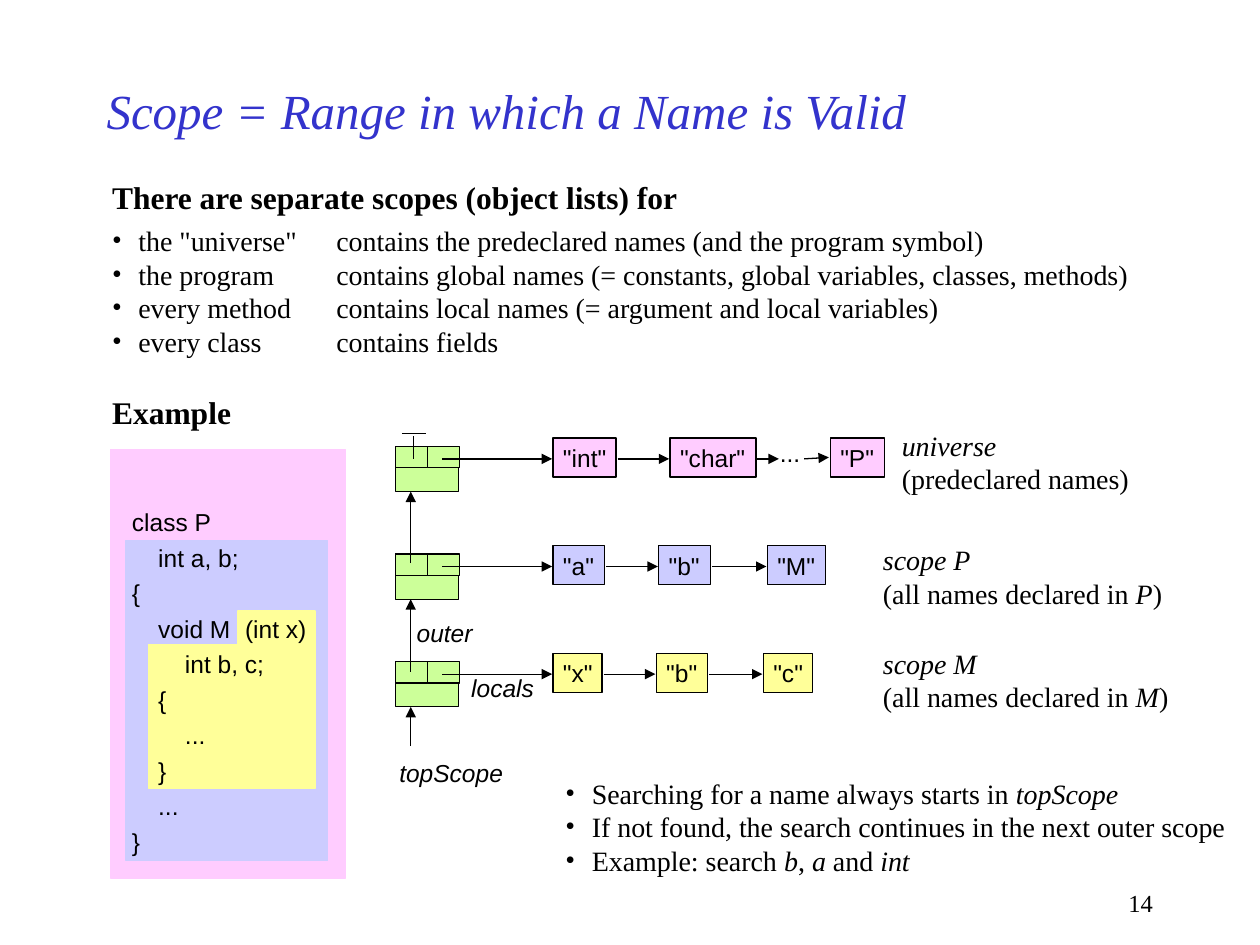
"""Build the slide on scopes, with a code sample and linked object lists."""
from lxml import etree
from pptx import Presentation
from pptx.dml.color import RGBColor
from pptx.enum.shapes import MSO_CONNECTOR, MSO_SHAPE
from pptx.enum.text import MSO_ANCHOR, PP_ALIGN
from pptx.oxml.ns import qn
from pptx.util import Cm, Pt

STRAIGHT = MSO_CONNECTOR.STRAIGHT
RECTANGLE = MSO_SHAPE.RECTANGLE
TOP, MIDDLE = MSO_ANCHOR.TOP, MSO_ANCHOR.MIDDLE
LEFT, RIGHT = PP_ALIGN.LEFT, PP_ALIGN.RIGHT
BLACK = RGBColor(0x00, 0x00, 0x00)
BLUE = RGBColor(0x33, 0x33, 0xCC)
PINK = RGBColor(0xFF, 0xCC, 0xFF)
LILAC = RGBColor(0xCC, 0xCC, 0xFF)
YELLOW = RGBColor(0xFF, 0xFF, 0x99)
GREEN = RGBColor(0xCC, 0xFF, 0x99)
SERIF, SANS = "Times New Roman", "Arial"
HANG = 0.53

deck = Presentation()
deck.slide_width, deck.slide_height = Cm(25.4), Cm(19.05)
page = deck.slides.add_slide(deck.slide_layouts[6])
shapes = page.shapes


def write(box, lines, size, font=SERIF, color=BLACK, tabs=(), bullets=False,
          gap=0, inset=0.25, align=LEFT, anchor=TOP):
    """Fill a box with lines, each a list of (text, style) runs."""
    frame = box.text_frame
    frame.word_wrap = True
    frame.vertical_anchor = anchor
    frame.margin_left = Cm(inset)
    frame.margin_right = Cm(inset if align == RIGHT else 0)
    frame.margin_top = frame.margin_bottom = Cm(inset / 2)
    for index, runs in enumerate(lines):
        para = frame.add_paragraph() if index else frame.paragraphs[0]
        para.alignment = align
        heading = runs[0][1] == "b"
        props = para._p.get_or_add_pPr()
        if bullets and not heading:
            props.set("marL", str(Cm(HANG)))
            props.set("indent", str(-Cm(HANG)))
            etree.SubElement(props, qn("a:buFont"), typeface=font)
            etree.SubElement(props, qn("a:buChar"), char="•")
        if tabs:
            stops = etree.SubElement(props, qn("a:tabLst"))
            for stop in tabs:
                etree.SubElement(stops, qn("a:tab"), pos=str(Cm(stop)), algn="l")
        if index and gap:
            para.space_before = Pt(gap)
        if heading:
            para.space_after = Pt(4.5)
        for text, style in runs:
            span = para.add_run()
            span.text = text
            span.font.name = font
            span.font.size = Pt(18 if heading else size)
            span.font.bold = style == "b"
            span.font.italic = style == "i"
            span.font.color.rgb = color


def draw_line(x1, y1, x2, y2, arrow=True):
    """Draw a thin black line, with an arrowhead at its end if wanted."""
    line = shapes.add_connector(STRAIGHT, Cm(x1), Cm(y1), Cm(x2), Cm(y2))
    line.line.color.rgb = BLACK
    line.line.width = Pt(0.75)
    if arrow:
        etree.SubElement(line.line._get_or_add_ln(), qn("a:tailEnd"), type="triangle")
    etree.SubElement(line._element.spPr, qn("a:effectLst"))


title = shapes.add_textbox(Cm(1.9), Cm(1.27), Cm(19.05), Cm(1.9))
write(title, [[("Scope = Range in which a Name is Valid", "i")]], 28,
      color=BLUE, anchor=MIDDLE)

scopes = shapes.add_textbox(Cm(2.01), Cm(3.46), Cm(20.98), Cm(3.89))
write(scopes, [
    [("There are separate scopes (object lists) for", "b")],
    [('the "universe"\tcontains the predeclared names (and the program symbol)', "")],
    [("the program\tcontains global names "
      "(= constants, global variables, classes, methods)", "")],
    [("every method\tcontains local names (= argument and local variables)", "")],
    [("every class\tcontains fields", "")],
], 16, tabs=[4.52], bullets=True)

# left, top, width, height, fill, line, label
rectangles = [
    (2.23, 9.06, 4.73, 8.64, PINK, PINK, ""),
    (2.54, 10.9, 4.06, 6.45, LILAC, LILAC, ""),
]
lists = [
    (9, PINK, [('"int"', 11.15, 1.27), ('"char"', 13.51, 1.73), ('"P"', 16.74, 1.09)]),
    (11.17, LILAC, [('"a"', 11.15, 1.04), ('"b"', 13.28, 1.04), ('"M"', 15.47, 1.17)]),
    (13.34, YELLOW, [('"x"', 11.15, 0.99), ('"b"', 13.23, 1.04), ('"c"', 15.39, 0.99)]),
]
for top, fill, nodes in lists:
    rectangles += [
        (7.98, top, 1.27, 0.91, GREEN, BLACK, ""),
        (7.98, top, 0.64, 0.43, GREEN, BLACK, ""),
        (8.62, top, 0.64, 0.43, GREEN, BLACK, ""),
    ]
    for label, left, width in nodes:
        rectangles.append((left, top - 0.17, width, 0.79, fill, BLACK, label))

for left, top, width, height, fill, edge, label in rectangles:
    box = shapes.add_shape(RECTANGLE, Cm(left), Cm(top), Cm(width), Cm(height))
    box.shadow.inherit = False
    box.fill.solid()
    box.fill.fore_color.rgb = fill
    box.line.color.rgb = edge
    box.line.width = Pt(0.75)
    if label:
        write(box, [[(label, "")]], 14, SANS, inset=0.2)

outline = shapes.build_freeform(Cm(3), Cm(13))
outline.add_line_segments([(Cm(x), Cm(y)) for x, y in [
    (4.8, 13), (4.8, 12.32), (6.35, 12.32), (6.35, 15.9), (3, 15.9)]])
method = outline.convert_to_shape()
method.shadow.inherit = False
method.fill.solid()
method.fill.fore_color.rgb = YELLOW
method.line.color.rgb = YELLOW
method.line.width = Pt(0.75)

code = shapes.add_textbox(Cm(2.41), Cm(10.1), Cm(4.01), Cm(7.29))
code_lines = ["class P", "\tint a, b;", "{", "\tvoid M\t(int x)", "\t\tint b, c;",
              "\t{", "\t\t...", "\t}", "\t...", "}"]
write(code, [[(line, "")] for line in code_lines], 14, SANS,
      tabs=[0.53, 1.07, 2.28], gap=3.5)

example = shapes.add_textbox(Cm(2.01), Cm(7.8), Cm(2.9), Cm(1.02))
write(example, [[("Example", "b")]], 18)

captions = [
    (17.93, 8.51, 5.08, "universe", [("(predeclared names)", "")]),
    (17.55, 10.82, 6.12, "scope P",
     [("(all names declared in ", ""), ("P", "i"), (")", "")]),
    (17.55, 12.9, 6.25, "scope M",
     [("(all names declared in ", ""), ("M", "i"), (")", "")]),
]
for left, top, width, name, meaning in captions:
    box = shapes.add_textbox(Cm(left), Cm(top), Cm(width), Cm(1.63))
    write(box, [[(name, "i")], meaning], 16)

labels = [("locals", 9.25, 13.44, 1.78), ("outer", 8.15, 12.34, 1.63),
          ("topScope", 7.8, 15.16, 2.59)]
for label, left, top, width in labels:
    box = shapes.add_textbox(Cm(left), Cm(top), Cm(width), Cm(0.86))
    write(box, [[(label, "i")]], 14, SANS)
dots = shapes.add_textbox(Cm(15.52), Cm(8.74), Cm(0.81), Cm(0.79))
write(dots, [[("...", "")]], 14, SANS, inset=0.2)

for top, fill, nodes in lists:
    level = top + 0.25
    draw_line(8.92, level, 11.13, level)
    for (label, left, width), (follower, target, _) in zip(nodes, nodes[1:]):
        if follower == '"P"':
            draw_line(left + width, level, 15.7, level)
            draw_line(16.21, level, target - 0.03, level - 0.03)
        else:
            draw_line(left + width + 0.03, level, target - 0.02, level)
for start, end in [(11.35, 9.91), (13.54, 12.08), (15.04, 14.25)]:
    draw_line(8.28, start, 8.28, end)
draw_line(8.33, 9.25, 8.33, 8.79, arrow=False)
draw_line(8.1, 8.74, 8.59, 8.74, arrow=False)

search = shapes.add_textbox(Cm(11.15), Cm(15.52), Cm(13.82), Cm(2.29))
write(search, [
    [("Searching for a name always starts in ", ""), ("topScope", "i")],
    [("If not found, the search continues in the next outer scope", "")],
    [("Example: search ", ""), ("b", "i"), (", ", ""), ("a", "i"),
     (" and ", ""), ("int", "i")],
], 16, bullets=True)

number = shapes.add_textbox(Cm(18.21), Cm(17.78), Cm(5.28), Cm(0.84))
write(number, [[("14", "")]], 14, align=RIGHT)

deck.save("out.pptx")
